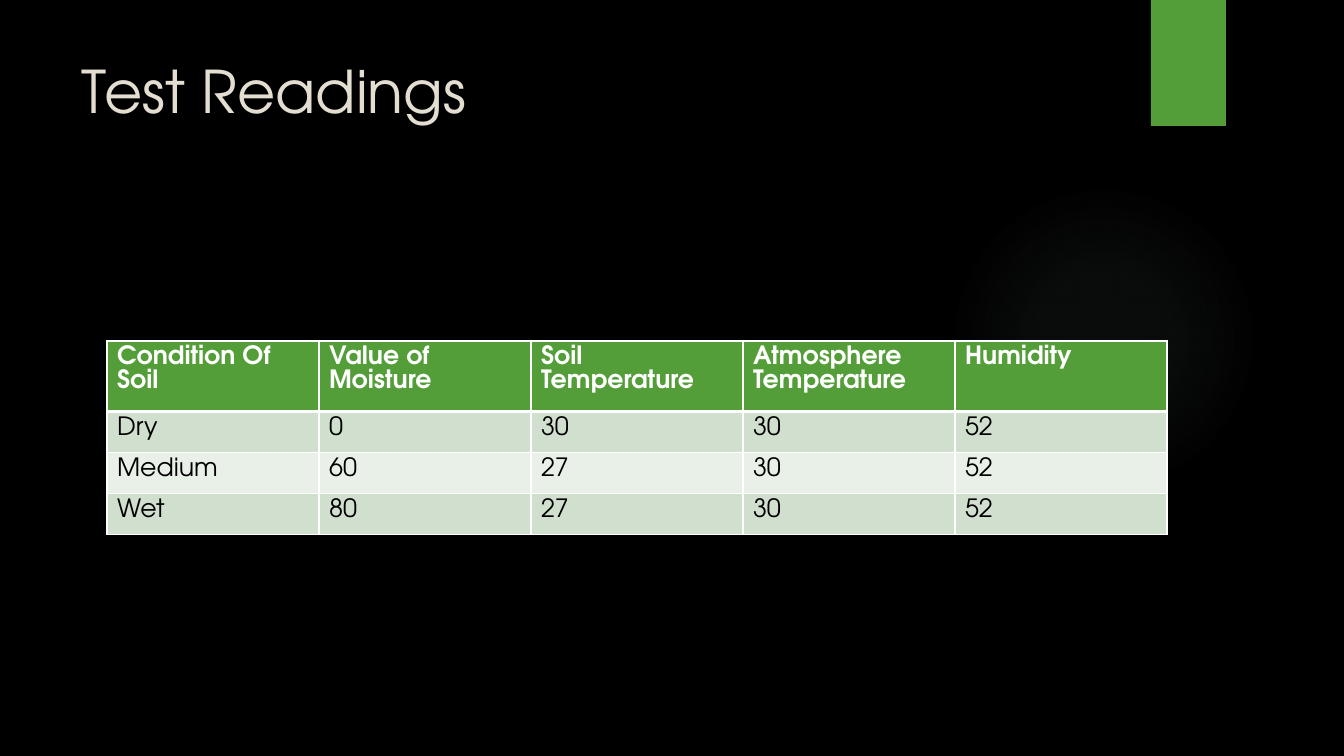
from dataclasses import dataclass

from lxml.etree import SubElement
from pptx import Presentation
from pptx.dml.color import RGBColor
from pptx.enum.shapes import MSO_SHAPE
from pptx.oxml.ns import qn
from pptx.util import Emu, Pt

# Content
TITLE = "Test Readings"
HEADINGS = ["Condition Of Soil", "Value of Moisture", "Soil Temperature",
            "Atmosphere\nTemperature", "Humidity"]
READINGS = [
    ["Dry", "0", "30", "30", "52"],
    ["Medium", "60", "27", "30", "52"],
    ["Wet", "80", "27", "30", "52"],
]


@dataclass(frozen=True)
class Theme:
    font: str = "TeX Gyre Adventor"
    title_size: int = 42
    table_size: int = 18
    background: str = "000000"
    title: str = "E3DED1"
    accent: str = "549E39"
    glow: str = "87A896"
    header_text: str = "FFFFFF"
    body_text: str = "000000"
    bands: tuple = ("D1DFCE", "E9F0E8")
    border: str = "FFFFFF"
    border_width: int = 1
    header_rule: int = 3


THEME = Theme()

# Layout in px
SLIDE = (1344, 756)
GLOW_BOX = (949, 184, 310, 310)
TAB_BOX = (1151, 0, 75, 126)
TITLE_BOX = (72, 50, 1037, 154)
TABLE_LEFT, TABLE_TOP = 107, 341
COLUMN_WIDTH, HEADER_HEIGHT, ROW_HEIGHT = 212, 55, 41
GLOW_STOPS = [(0, 7), (36, 6), (69, 0)]  # position %, opacity %


def px(length):
    return Emu(round(length * 914400 / 100.8))


def box(lengths):
    return [px(length) for length in lengths]


def paint(fill, color):
    fill.solid()
    fill.fore_color.rgb = RGBColor.from_string(color)


def style(paragraph, size, color, bold=False):
    for run in paragraph.runs:
        run.font.name = THEME.font
        run.font.size = Pt(size)
        run.font.bold = bold
        run.font.color.rgb = RGBColor.from_string(color)


def add_plain(slide, kind, place):
    plain = slide.shapes.add_shape(kind, *box(place))
    plain.shadow.inherit = False
    plain.line.fill.background()
    return plain


def radial_fade(shape, color, stops):
    shape.fill.gradient()
    gradient = shape._element.spPr.find(qn("a:gradFill"))
    for part in list(gradient):
        gradient.remove(part)
    stop_list = SubElement(gradient, qn("a:gsLst"))
    for position, opacity in stops:
        stop = SubElement(stop_list, qn("a:gs"), pos=str(position * 1000))
        shade = SubElement(stop, qn("a:srgbClr"), val=color)
        SubElement(shade, qn("a:alpha"), val=str(opacity * 1000))
    circle = SubElement(gradient, qn("a:path"), path="circle")
    SubElement(circle, qn("a:fillToRect"), l="50000", t="50000", r="50000", b="50000")


def add_borders(cell, top, bottom):
    properties = cell._tc.get_or_add_tcPr()
    side = THEME.border_width
    for edge, width in (("L", side), ("R", side), ("T", top), ("B", bottom)):
        line = SubElement(properties, qn(f"a:ln{edge}"), w=str(Pt(width)))
        solid = SubElement(line, qn("a:solidFill"))
        SubElement(solid, qn("a:srgbClr"), val=THEME.border)


def add_readings(slide):
    rows = [HEADINGS, *READINGS]
    columns = len(HEADINGS)
    height = HEADER_HEIGHT + ROW_HEIGHT * len(READINGS)
    place = (TABLE_LEFT, TABLE_TOP, COLUMN_WIDTH * columns, height)
    table = slide.shapes.add_table(len(rows), columns, *box(place)).table
    for column in table.columns:
        column.width = px(COLUMN_WIDTH)
    for r, values in enumerate(rows):
        header = r == 0
        table.rows[r].height = px(HEADER_HEIGHT if header else ROW_HEIGHT)
        top = THEME.header_rule if r == 1 else THEME.border_width
        bottom = THEME.header_rule if header else THEME.border_width
        background = THEME.accent if header else THEME.bands[(r - 1) % 2]
        ink = THEME.header_text if header else THEME.body_text
        for c, value in enumerate(values):
            cell = table.cell(r, c)
            add_borders(cell, top, bottom)
            paint(cell.fill, background)
            cell.text_frame.text = value
            for paragraph in cell.text_frame.paragraphs:
                style(paragraph, THEME.table_size, ink, header)


def main():
    deck = Presentation()
    deck.slide_width, deck.slide_height = box(SLIDE)
    slide = deck.slides.add_slide(deck.slide_layouts[6])
    paint(slide.background.fill, THEME.background)

    # Backdrop glow and corner tab
    glow = add_plain(slide, MSO_SHAPE.OVAL, GLOW_BOX)
    radial_fade(glow, THEME.glow, GLOW_STOPS)
    tab = add_plain(slide, MSO_SHAPE.RECTANGLE, TAB_BOX)
    paint(tab.fill, THEME.accent)

    # Title
    heading = slide.shapes.add_textbox(*box(TITLE_BOX)).text_frame
    heading.word_wrap = True
    heading.text = TITLE
    style(heading.paragraphs[0], THEME.title_size, THEME.title)

    # Table of readings
    add_readings(slide)
    deck.save("out.pptx")


if __name__ == "__main__":
    main()
